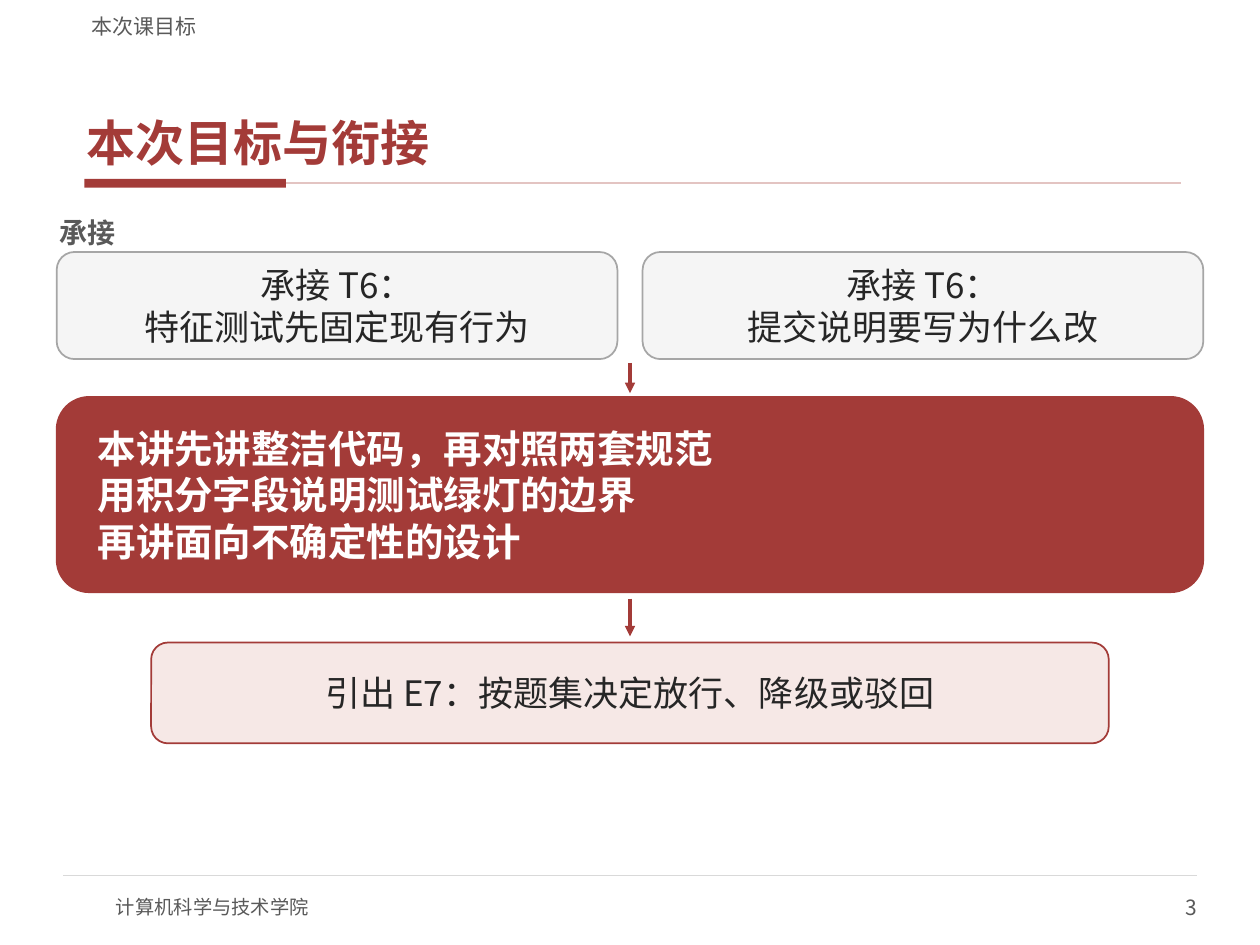
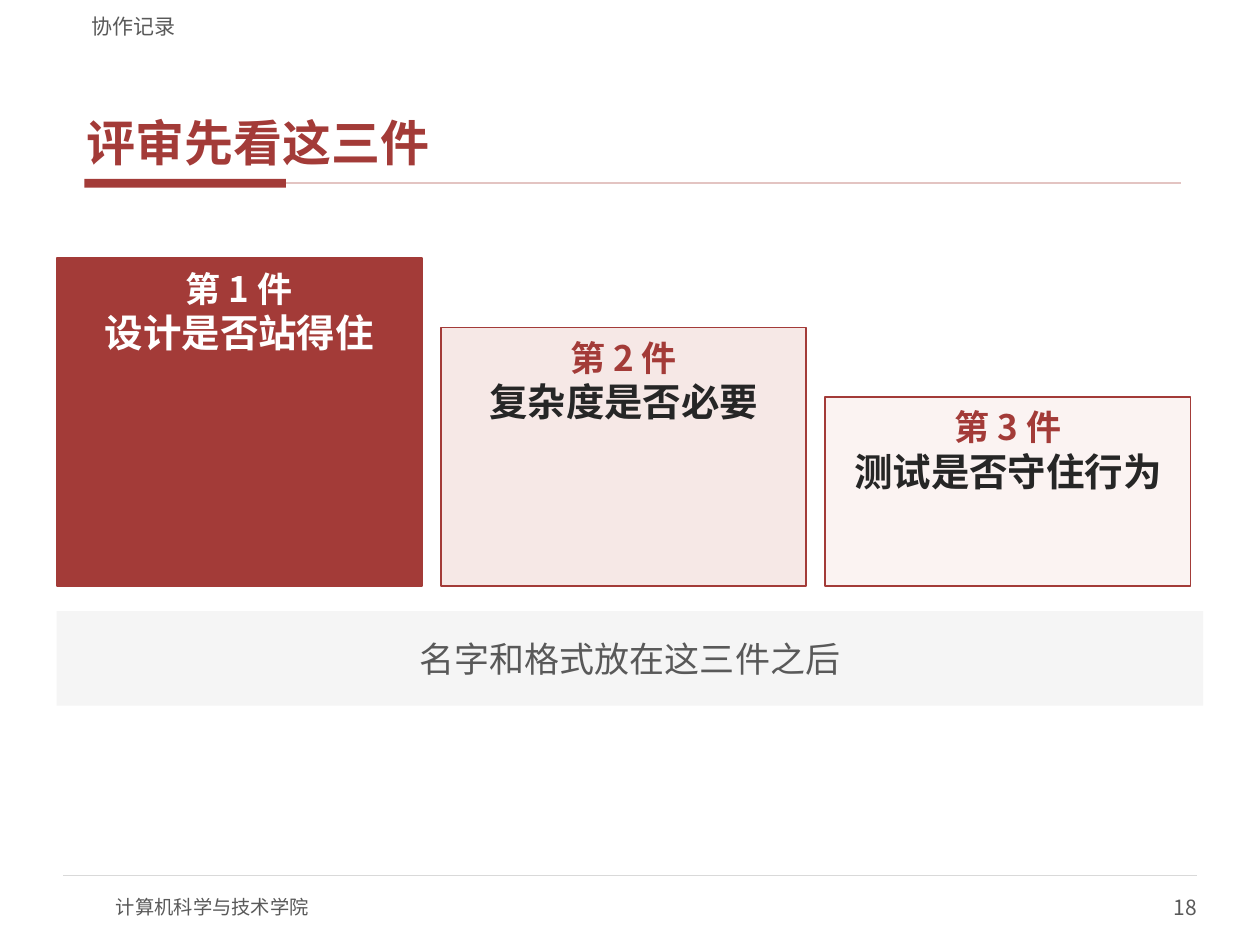
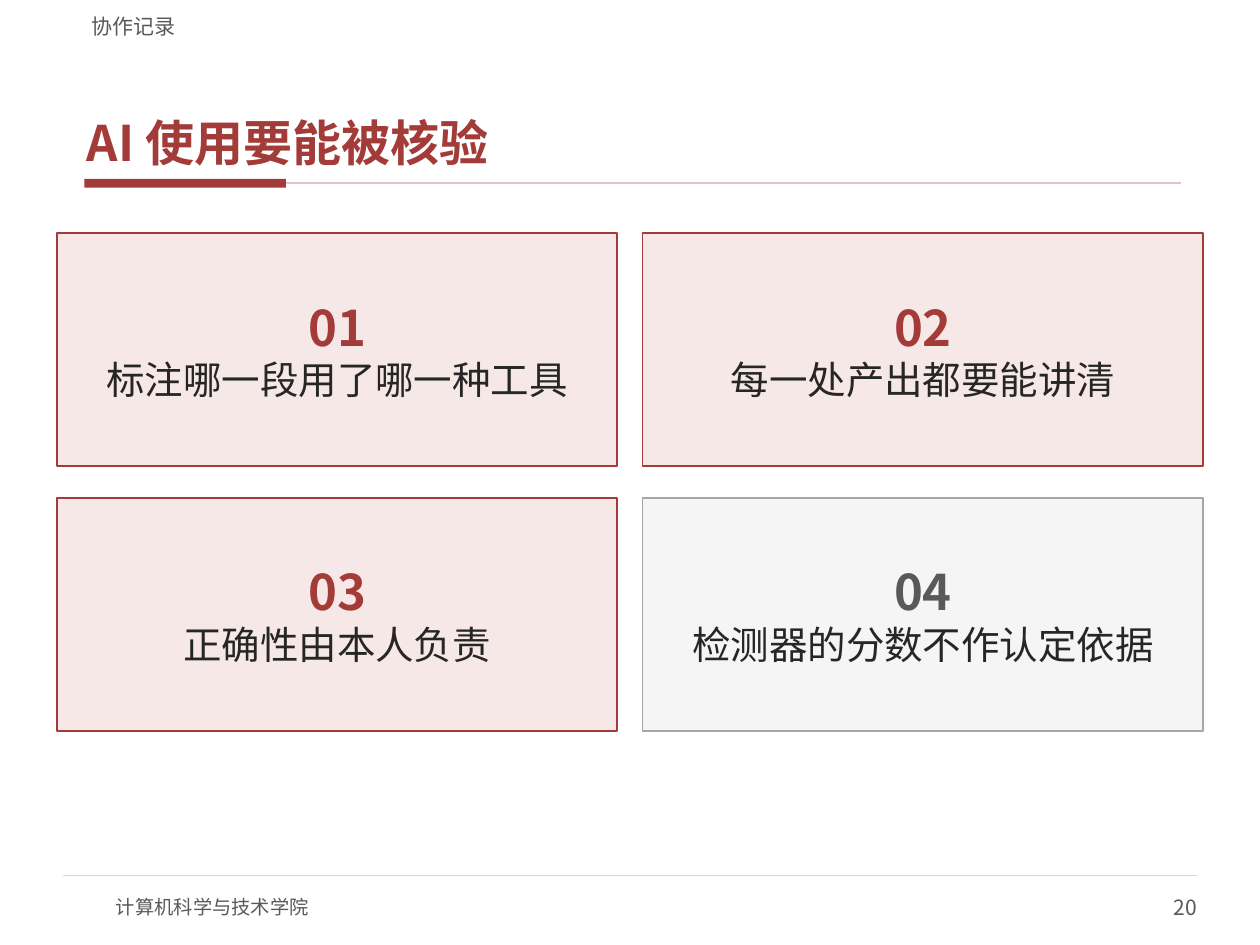
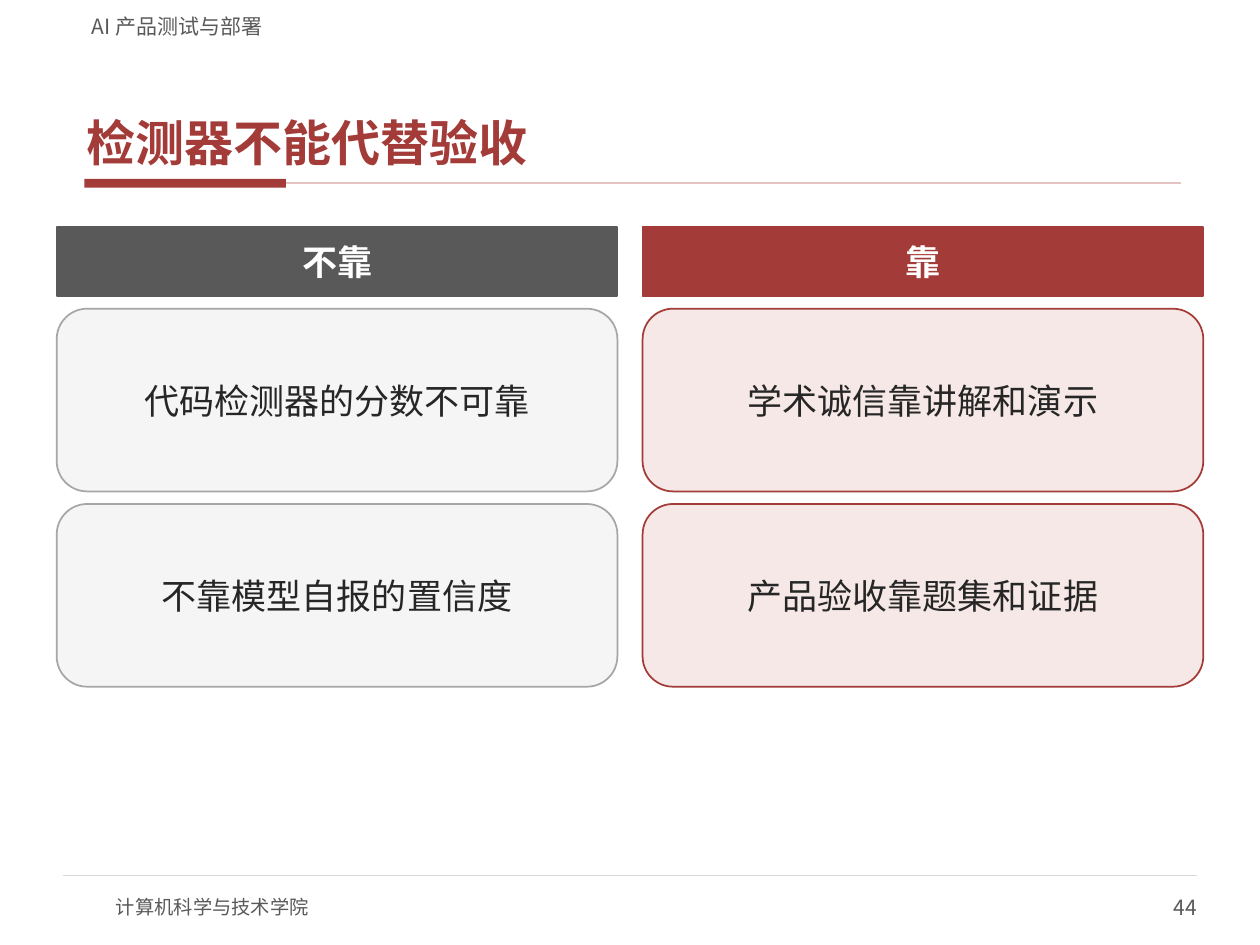
from lxml import etree
from pptx import Presentation
from pptx.dml.color import RGBColor
from pptx.enum import shapes, text
from pptx.oxml import ns
from pptx.util import Pt

FONT = "Noto Sans CJK SC"
COLORS = {
    "red": "A33B38", "rose": "F6E8E6", "blush": "FBF3F2", "rule": "E3C4C2",
    "gray": "595959", "mid": "A6A6A6", "pale": "F5F5F5", "hair": "D9D9D9",
    "ink": "262626", "white": "FFFFFF",
}
RGB = {name: RGBColor.from_string(value) for name, value in COLORS.items()}
RECT = shapes.MSO_SHAPE.RECTANGLE
ROUND = shapes.MSO_SHAPE.ROUNDED_RECTANGLE
LEFT, CENTER, RIGHT = text.PP_ALIGN.LEFT, text.PP_ALIGN.CENTER, text.PP_ALIGN.RIGHT
TOP, MIDDLE, BOTTOM = text.MSO_ANCHOR.TOP, text.MSO_ANCHOR.MIDDLE, text.MSO_ANCHOR.BOTTOM


def write(sp, paragraphs, align=CENTER, anchor=MIDDLE, inset=(5.76, 2.88)):
    tf = sp.text_frame
    tf.word_wrap = True
    tf.auto_size = text.MSO_AUTO_SIZE.NONE
    tf.vertical_anchor = anchor
    tf.margin_left = tf.margin_right = Pt(inset[0])
    tf.margin_top = tf.margin_bottom = Pt(inset[1])
    for i, (content, size, color, bold) in enumerate(paragraphs):
        p = tf.paragraphs[0] if i == 0 else tf.add_paragraph()
        p.alignment = align
        for j, line in enumerate(content.split("\n")):
            if j:
                p.add_line_break()
            r = p.add_run()
            r.text = line
            r.font.name = FONT
            r.font.size = Pt(size)
            r.font.bold = bold
            r.font.color.rgb = RGB[color]
            ea = etree.SubElement(r.font._element, ns.qn("a:ea"))
            ea.set("typeface", FONT)


def draw(s, kind, x, y, w, h, fill=None, line=None, width=1):
    if kind == "text":
        return s.shapes.add_textbox(Pt(x), Pt(y), Pt(w), Pt(h))
    if kind == "line":
        sp = s.shapes.add_connector(shapes.MSO_CONNECTOR.STRAIGHT, Pt(x), Pt(y), Pt(x + w), Pt(y + h))
        etree.SubElement(sp.element.spPr, ns.qn("a:effectLst"))
    else:
        sp = s.shapes.add_shape(kind, Pt(x), Pt(y), Pt(w), Pt(h))
        sp.shadow.inherit = False
        sp.fill.solid()
        sp.fill.fore_color.rgb = RGB[fill]
    if line:
        sp.line.color.rgb = RGB[line]
        sp.line.width = Pt(width)
    else:
        sp.line.fill.background()
    return sp


prs = Presentation()
prs.slide_width, prs.slide_height = Pt(720), Pt(540)
layout = prs.slide_layouts[5]

pages = [
    ("本次课目标", "本次目标与衔接", "3"),
    ("协作记录", "评审先看这三件", "18"),
    ("协作记录", "AI 使用要能被核验", "20"),
    ("AI 产品测试与部署", "检测器不能代替验收", "44"),
]
for section, heading, number in pages:
    s = prs.slides.add_slide(layout)
    title = s.shapes.title
    title.left, title.top, title.width, title.height = Pt(45.36), Pt(23.76), Pt(630), Pt(75.6)
    write(title, [(heading, 28, "red", True)], LEFT, BOTTOM, (4.32, 1.44))
    title.text_frame.paragraphs[0].space_after = Pt(2)
    header = draw(s, "text", 45.36, 2.88, 630, 19.44)
    write(header, [(section, 12, "gray", False)], LEFT, BOTTOM, (7.2, 0))
    page_number = draw(s, "text", 540, 504, 144, 28.8)
    write(page_number, [(number, 12, "gray", False)], RIGHT, MIDDLE, (0, 0))

goals, review, ai_use, detector = prs.slides

title_bar = draw(goals, RECT, 48.24, 102.24, 115.2, 5.04, "red")
title_rule = draw(goals, "line", 163.44, 104.75, 511.2, 0, line="rule")
footer_rule = draw(goals, "line", 36, 500.4, 648, 0, line="hair", width=0.75)
school = draw(goals, "text", 66.24, 504, 288, 28.8)
write(school, [("计算机科学与技术学院", 11, "gray", False)], LEFT, MIDDLE, (0, 0))
for sp in (title_bar, title_rule, footer_rule, school):
    layout.shapes.element.append(sp.element)

EDGE, FULL, COL = 32.4, 655.2, 320.4
COLUMNS = (EDGE, EDGE + FULL - COL)

label = draw(goals, "text", EDGE, 120.96, 216, 23.04)
write(label, [("承接", 16, "gray", True)], LEFT, MIDDLE, (1.44, 0.72))
for x, point in zip(COLUMNS, ("特征测试先固定现有行为", "提交说明要写为什么改")):
    sp = draw(goals, ROUND, x, 144, COL, 61.2, "pale", "mid")
    write(sp, [("承接 T6：\n" + point, 20, "ink", False)])
plan = draw(goals, ROUND, EDGE, 226.8, FULL, 111.6, "red", "red")
plan_lines = ("本讲先讲整洁代码，再对照两套规范", "用积分字段说明测试绿灯的边界", "再讲面向不确定性的设计")
write(plan, [(line, 22, "white", True) for line in plan_lines], LEFT, MIDDLE, (18, 8.64))
for y, length in ((207.36, 17.28), (342, 21.6)):
    arrow = draw(goals, "line", 360, y, 0, length, line="red", width=1.75)
    etree.SubElement(arrow.line._get_or_add_ln(), ns.qn("a:tailEnd")).set("type", "triangle")
outcome = draw(goals, ROUND, 86.4, 367.2, 547.2, 57.6, "rose", "red")
write(outcome, [("引出 E7：按题集决定放行、降级或驳回", 20, "ink", False)])

steps = [
    ("设计是否站得住", "red", "white", "white"),
    ("复杂度是否必要", "rose", "red", "ink"),
    ("测试是否守住行为", "blush", "red", "ink"),
]
for i, (question, fill, rank_color, color) in enumerate(steps):
    y = 147.6 + i * 39.6
    sp = draw(review, RECT, EDGE + i * 219.6, y, 208.8, 334.8 - y, fill, "red")
    write(sp, [(f"第 {i + 1} 件", 20, rank_color, True), (question, 22, color, True)],
          anchor=TOP, inset=(10.8, 5.04))
note = draw(review, RECT, EDGE, 349.2, FULL, 54, "pale")
write(note, [("名字和格式放在这三件之后", 20, "gray", False)])

rules = [
    ("标注哪一段用了哪一种工具", "rose", "red", "red"),
    ("每一处产出都要能讲清", "rose", "red", "red"),
    ("正确性由本人负责", "rose", "red", "red"),
    ("检测器的分数不作认定依据", "pale", "mid", "gray"),
]
for i, (rule, fill, line, color) in enumerate(rules):
    sp = draw(ai_use, RECT, COLUMNS[i % 2], 133.2 + i // 2 * 151.2, COL, 133.2, fill, line)
    write(sp, [(f"{i + 1:02}", 28, color, True), (rule, 22, "ink", False)])

sides = [
    ("不靠", "gray", "pale", "mid", ("代码检测器的分数不可靠", "不靠模型自报的置信度")),
    ("靠", "red", "rose", "red", ("学术诚信靠讲解和演示", "产品验收靠题集和证据")),
]
for x, (heading, band, fill, line, points) in zip(COLUMNS, sides):
    sp = draw(detector, RECT, x, 129.6, COL, 39.6, band, band)
    write(sp, [(heading, 20, "white", True)])
    for i, point in enumerate(points):
        sp = draw(detector, ROUND, x, 176.4 + i * 111.6, COL, 104.4, fill, line)
        write(sp, [(point, 20, "ink", False)])

prs.save("out.pptx")
